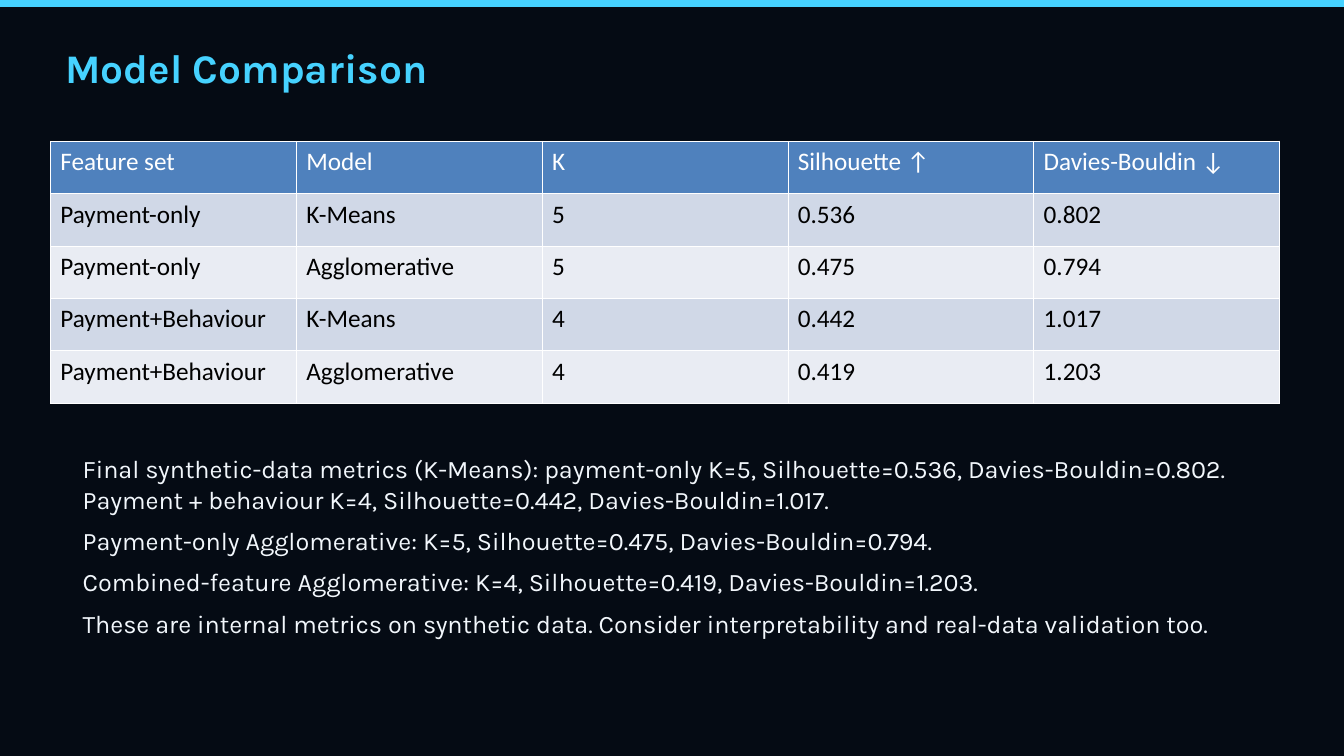
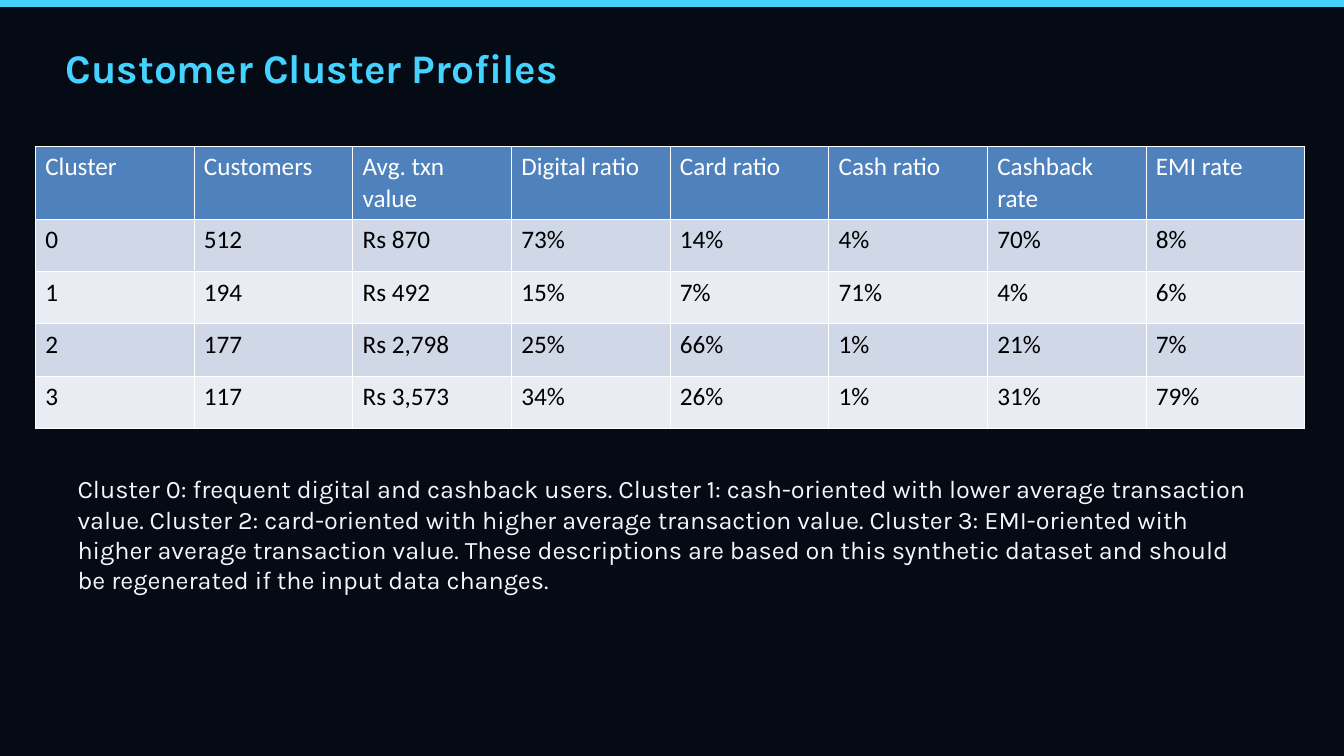
"""Build the model comparison and cluster profile slides."""
from lxml import etree
from pptx import Presentation
from pptx import util as u
from pptx.dml.color import RGBColor
from pptx.enum import shapes, text
from pptx.oxml import ns

PX = u.Inches(1) // 100
PAGE_WIDTH, PAGE_HEIGHT = 1334, 750
ROW_HEIGHT = 52
NIGHT = RGBColor(0x05, 0x0B, 0x14)
CYAN = RGBColor(0x46, 0xD2, 0xFF)
PALE = RGBColor(0xF2, 0xF7, 0xFC)
WHITE = RGBColor(0xFF, 0xFF, 0xFF)
BLACK = RGBColor(0x00, 0x00, 0x00)
HEADER_BLUE = RGBColor(0x4F, 0x81, 0xBD)
ROW_FILLS = RGBColor(0xE9, 0xEC, 0xF3), RGBColor(0xD0, 0xD8, 0xE7)

PAGES = [
    {
        "title": "Model Comparison",
        "table_at": (50, 140, 1220),
        "header_height": 52,
        "rows": [
            ("Feature set", "Model", "K", "Silhouette ↑", "Davies-Bouldin ↓"),
            ("Payment-only", "K-Means", "5", "0.536", "0.802"),
            ("Payment-only", "Agglomerative", "5", "0.475", "0.794"),
            ("Payment+Behaviour", "K-Means", "4", "0.442", "1.017"),
            ("Payment+Behaviour", "Agglomerative", "4", "0.419", "1.203"),
        ],
        "notes_at": (70, 440, 1200, 202),
        "notes": [
            "Final synthetic-data metrics (K-Means): payment-only K=5, Silhouette=0.536, "
            "Davies-Bouldin=0.802. Payment + behaviour K=4, Silhouette=0.442, "
            "Davies-Bouldin=1.017.",
            "Payment-only Agglomerative: K=5, Silhouette=0.475, Davies-Bouldin=0.794.",
            "Combined-feature Agglomerative: K=4, Silhouette=0.419, Davies-Bouldin=1.203.",
            "These are internal metrics on synthetic data. Consider interpretability and "
            "real-data validation too.",
        ],
    },
    {
        "title": "Customer Cluster Profiles",
        "table_at": (35, 145, 1260),
        "header_height": 72,
        "rows": [
            ("Cluster", "Customers", "Avg. txn value", "Digital ratio", "Card ratio",
             "Cash ratio", "Cashback rate", "EMI rate"),
            ("0", "512", "Rs 870", "73%", "14%", "4%", "70%", "8%"),
            ("1", "194", "Rs 492", "15%", "7%", "71%", "4%", "6%"),
            ("2", "177", "Rs 2,798", "25%", "66%", "1%", "21%", "7%"),
            ("3", "117", "Rs 3,573", "34%", "26%", "1%", "31%", "79%"),
        ],
        "notes_at": (65, 460, 1200, 138),
        "notes": [
            "Cluster 0: frequent digital and cashback users. Cluster 1: cash-oriented with "
            "lower average transaction value. Cluster 2: card-oriented with higher average "
            "transaction value. Cluster 3: EMI-oriented with higher average transaction "
            "value. These descriptions are based on this synthetic dataset and should be "
            "regenerated if the input data changes.",
        ],
    },
]


def style_font(font, name, size, color, bold=False):
    font.name = name
    font.size = u.Pt(size)
    font.color.rgb = color
    font.bold = bold


def add_borders(cell):
    properties = cell._tc.get_or_add_tcPr()
    for side in ("a:lnL", "a:lnR", "a:lnT", "a:lnB"):
        line = etree.SubElement(properties, ns.qn(side), w=str(u.Pt(0.45)))
        fill = etree.SubElement(line, ns.qn("a:solidFill"))
        etree.SubElement(fill, ns.qn("a:srgbClr"), val=str(WHITE))


deck = Presentation()
deck.slide_width, deck.slide_height = PAGE_WIDTH * PX, PAGE_HEIGHT * PX
background = deck.slide_master.background.fill
background.solid()
background.fore_color.rgb = NIGHT
layout = deck.slide_layouts.get_by_name("Title Only")

for content in PAGES:
    page = deck.slides.add_slide(layout)

    title = page.shapes.title
    title.left, title.top, title.width, title.height = (n * PX for n in (55, 28, 1220, 78))
    title.text_frame.text = content["title"]
    title.text_frame.vertical_anchor = text.MSO_ANCHOR.MIDDLE
    heading = title.text_frame.paragraphs[0]
    heading.alignment = text.PP_ALIGN.LEFT
    style_font(heading.runs[0].font, "Karla", 29, CYAN, bold=True)

    rows = content["rows"]
    left, top, width = (n * PX for n in content["table_at"])
    height = ROW_HEIGHT * len(rows) * PX
    table = page.shapes.add_table(len(rows), len(rows[0]), left, top, width, height).table
    table.rows[0].height = content["header_height"] * PX
    for row_index, values in enumerate(rows):
        header = row_index == 0
        for column_index, value in enumerate(values):
            cell = table.cell(row_index, column_index)
            add_borders(cell)
            cell.fill.solid()
            cell.fill.fore_color.rgb = HEADER_BLUE if header else ROW_FILLS[row_index % 2]
            cell.text_frame.text = value
            para = cell.text_frame.paragraphs[0]
            para.line_spacing = 1.02
            style_font(para.runs[0].font, "Calibri", 18, WHITE if header else BLACK)

    box = page.shapes.add_textbox(*(n * PX for n in content["notes_at"]))
    frame = box.text_frame
    frame.word_wrap = True
    frame.auto_size = text.MSO_AUTO_SIZE.SHAPE_TO_FIT_TEXT
    frame.margin_left = frame.margin_right = 12 * PX
    frame.margin_top, frame.margin_bottom = 10 * PX, 8 * PX
    frame.text = "\n".join(content["notes"])
    for para in frame.paragraphs:
        para.space_after = u.Pt(8)
        style_font(para.runs[0].font, "Karla", 18, PALE)

    band = page.shapes.add_shape(shapes.MSO_SHAPE.RECTANGLE, 0, 0, PAGE_WIDTH * PX, 7 * PX)
    band.shadow.inherit = False
    band.fill.solid()
    band.fill.fore_color.rgb = CYAN
    band.line.fill.background()

deck.save("out.pptx")
